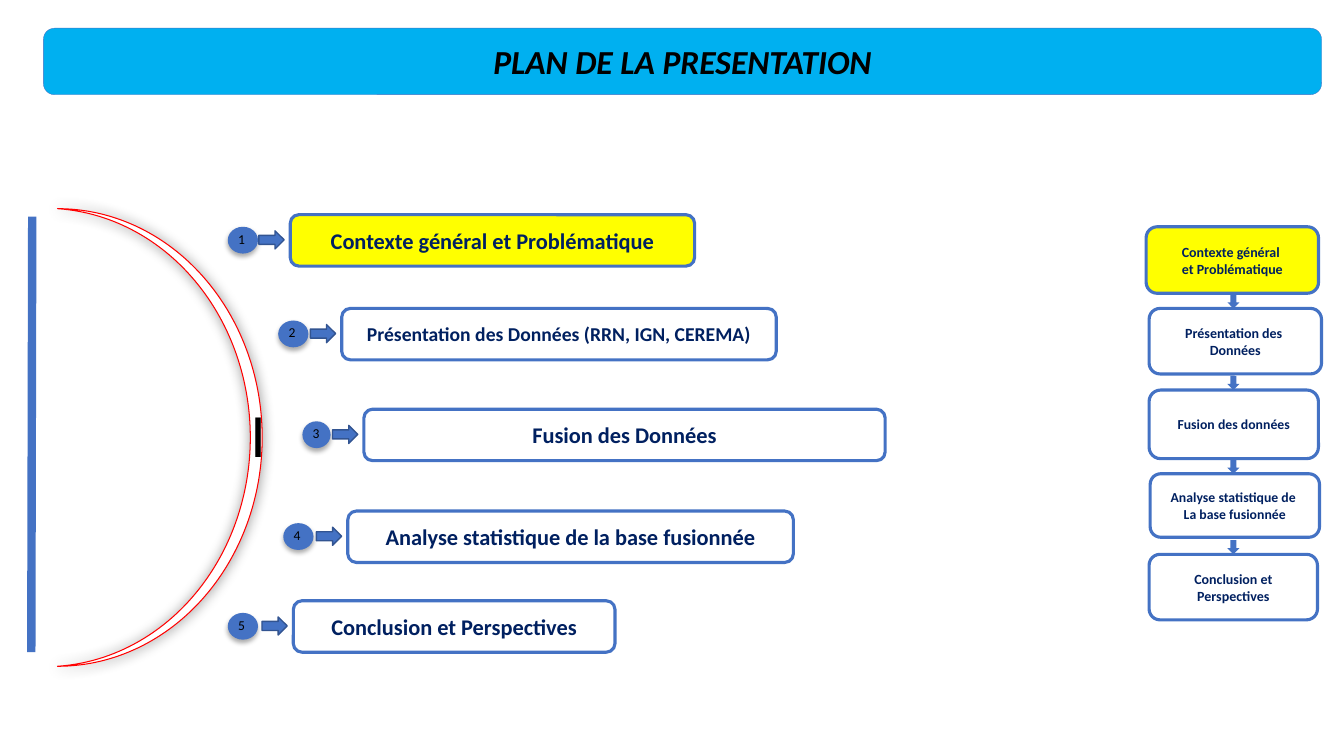
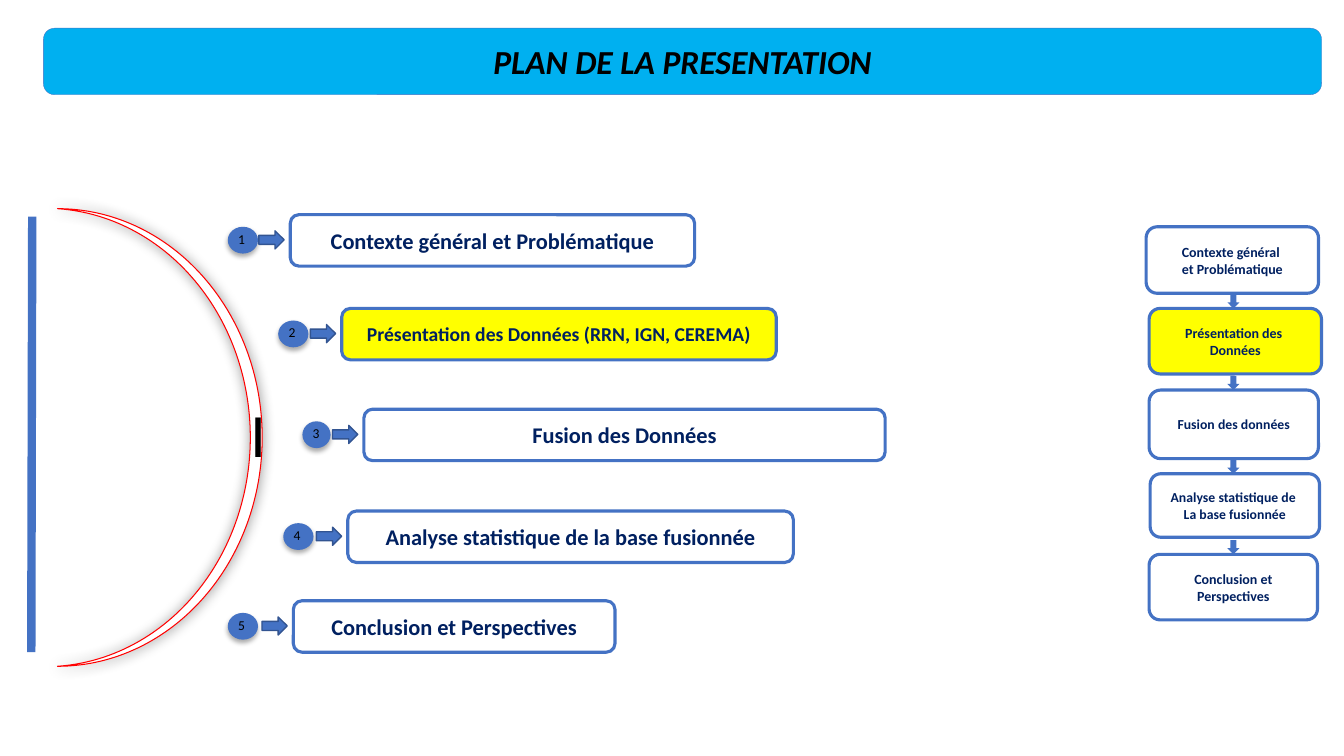
"""Build the two agenda slides, each highlighting one part of the talk."""
from dataclasses import dataclass

from lxml import etree
from pptx import Presentation
from pptx import util as u
from pptx.dml.color import RGBColor
from pptx.enum import shapes, text
from pptx.oxml import ns

WIDTH, HEIGHT = 13.33, 7.5
FONT = "Calibri"
BLUE, DARK_BLUE, NAVY, SKY = "4472C4", "325491", "002060", "00B0F0"
YELLOW, WHITE, BLACK, RED = "FFFF00", "FFFFFF", "000000", "FF0000"
BOX_LINE = (BLUE, 2.25)
SHAPE = shapes.MSO_SHAPE
CENTER, LEFT = text.PP_ALIGN.CENTER, text.PP_ALIGN.LEFT
MIDDLE, TOP = text.MSO_ANCHOR.MIDDLE, text.MSO_ANCHOR.TOP


@dataclass(frozen=True)
class Area:
    """Hold a place as percentages of the slide's width and height."""
    left: float
    top: float
    width: float
    height: float


@dataclass(frozen=True)
class AgendaItem:
    """Describe a numbered line of the agenda."""
    label: str
    area: Area
    number_left: float
    number_width: float = 2.25
    size: float = 16


@dataclass(frozen=True)
class Step:
    """Describe a box of the progress chain at the right."""
    label: str
    area: Area
    size: float = 10
    wrap: bool = True


AGENDA = (
    AgendaItem("Contexte général et Problématique", Area(21.6, 28.4, 30.08, 6.8), 16.95),
    AgendaItem("Présentation des Données (RRN, IGN, CEREMA)",
               Area(25.43, 40.8, 32.33, 6.8), 20.7, size=14),
    AgendaItem("Fusion des Données", Area(27.08, 54.13, 38.78, 6.8), 22.5, number_width=2.1),
    AgendaItem("Analyse statistique de la base fusionnée", Area(25.88, 67.6, 33.15, 6.8), 21.08),
    AgendaItem("Conclusion et Perspectives", Area(21.83, 79.47, 23.93, 6.8), 16.95),
)
STEPS = (
    Step("Contexte général \net Problématique", Area(85.28, 30, 12.83, 8.8), wrap=False),
    Step("Présentation des \nDonnées", Area(85.5, 40.8, 12.83, 8.67)),
    Step("Fusion des données", Area(85.5, 51.6, 12.6, 9.07), size=9.8),
    Step("Analyse statistique de \nLa base fusionnée", Area(85.58, 62.67, 12.6, 8.4), size=9.8),
    Step("Conclusion et Perspectives", Area(85.5, 73.33, 12.53, 8.67)),
)


def color(value: str) -> RGBColor:
    """Turn a hex string into a colour."""
    return RGBColor.from_string(value)


def across(share: float) -> int:
    """Convert a percentage of the slide's width to a length."""
    return u.Inches(WIDTH * share / 100)


def down(share: float) -> int:
    """Convert a percentage of the slide's height to a length."""
    return u.Inches(HEIGHT * share / 100)


def add_shape(slide, kind, area: Area, fill: str, line: tuple[str, float] | None = None):
    """Add a filled preset shape, outlined when a line is given."""
    shape = slide.shapes.add_shape(kind, across(area.left), down(area.top),
                                   across(area.width), down(area.height))
    shape.shadow.inherit = False
    shape.fill.solid()
    shape.fill.fore_color.rgb = color(fill)
    if line:
        shape.line.color.rgb = color(line[0])
        shape.line.width = u.Pt(line[1])
    else:
        shape.line.fill.background()
    return shape


def write(shape, content: str, *, size: float, ink: str = NAVY, bold: bool = False,
          italic: bool = False, align=CENTER, anchor=MIDDLE, wrap: bool = True,
          spacing: float = 1.0, insets: tuple[float, ...] = (0.1, 0.05, 0.1, 0.05)) -> None:
    """Write formatted text into a shape, one paragraph per line."""
    frame = shape.text_frame
    frame.text = content
    frame.word_wrap = wrap
    frame.vertical_anchor = anchor
    (frame.margin_left, frame.margin_top,
     frame.margin_right, frame.margin_bottom) = map(u.Inches, insets)
    for paragraph in frame.paragraphs:
        paragraph.alignment = align
        paragraph.line_spacing = spacing
        for run in paragraph.runs:
            run.font.name = FONT
            run.font.size = u.Pt(size)
            run.font.bold = bold
            run.font.italic = italic
            run.font.color.rgb = color(ink)


def add_shadow(shape, blur: float, distance: float, opacity: int) -> None:
    """Give a shape a soft black shadow that falls downwards."""
    effects = shape._element.spPr.find(ns.qn("a:effectLst"))
    shadow = etree.SubElement(effects, ns.qn("a:outerShdw"), blurRad=str(u.Pt(blur)),
                              dist=str(u.Pt(distance)), dir="5400000", rotWithShape="0")
    black = etree.SubElement(shadow, ns.qn("a:srgbClr"), val=BLACK)
    etree.SubElement(black, ns.qn("a:alpha"), val=str(opacity * 1000))


def add_title(slide) -> None:
    """Draw the title band."""
    band = add_shape(slide, SHAPE.ROUNDED_RECTANGLE, Area(3.23, 3.73, 95.1, 8.8), SKY, (BLUE, 0.25))
    write(band, "PLAN DE LA PRESENTATION", size=24, ink=BLACK, bold=True, italic=True)


def add_arc(slide) -> None:
    """Draw the vertical bar and the crescent beside the agenda."""
    bar = slide.shapes.add_connector(shapes.MSO_CONNECTOR.STRAIGHT, across(2.4), down(28.67),
                                     across(2.33), down(86.27))
    bar.line.color.rgb = color(BLUE)
    bar.line.width = u.Pt(6)
    etree.SubElement(bar._element.spPr, ns.qn("a:effectLst"))
    crescent = add_shape(slide, SHAPE.MOON, Area(4.28, 27.6, 15.23, 60.53), WHITE, (RED, 0.75))
    crescent.adjustments[0] = 0.058
    crescent._element.spPr.xfrm.set("flipH", "1")
    add_shadow(crescent, 10, 0, 40)
    write(crescent, "I", size=44, ink=BLACK, align=LEFT, wrap=False, spacing=0.9)


def add_agenda_item(slide, number: int, item: AgendaItem, fill: str) -> None:
    """Draw an agenda line: number, arrow and labelled box."""
    area = item.area
    box = add_shape(slide, SHAPE.ROUNDED_RECTANGLE, area, fill, BOX_LINE)
    write(box, item.label, size=item.size, bold=True)
    disc = add_shape(slide, SHAPE.OVAL,
                     Area(item.number_left, area.top + 1.6, item.number_width, 3.55), BLUE)
    add_shadow(disc, 3.5, 2.2, 32)
    write(disc, str(number), size=9.7, ink=BLACK, align=LEFT, anchor=TOP,
          insets=(0.06, 0, 0.1, 0.03))
    add_shape(slide, SHAPE.RIGHT_ARROW, Area(area.left - 2.34, area.top + 2.13, 1.88, 2.4),
              BLUE, (DARK_BLUE, 1))


def add_step(slide, step: Step, fill: str, follows: bool) -> None:
    """Draw a chain box, with an arrow above it when it follows another."""
    box = add_shape(slide, SHAPE.ROUNDED_RECTANGLE, step.area, fill, BOX_LINE)
    write(box, step.label, size=step.size, bold=True, wrap=step.wrap)
    if follows:
        add_shape(slide, SHAPE.DOWN_ARROW, Area(91.32, step.area.top - 1.87, 0.9, 1.87), BLUE)


def add_plan_slide(presentation, current: int) -> None:
    """Add an agenda slide with the current part in yellow."""
    slide = presentation.slides.add_slide(presentation.slide_layouts[6])
    add_title(slide)
    add_arc(slide)
    for index, (item, step) in enumerate(zip(AGENDA, STEPS)):
        fill = YELLOW if index == current else WHITE
        add_agenda_item(slide, index + 1, item, fill)
        add_step(slide, step, fill, follows=index > 0)


def main() -> None:
    """Build and save the presentation."""
    presentation = Presentation()
    presentation.slide_width = u.Inches(WIDTH)
    presentation.slide_height = u.Inches(HEIGHT)
    for current in range(2):
        add_plan_slide(presentation, current)
    presentation.save("out.pptx")


if __name__ == "__main__":
    main()
